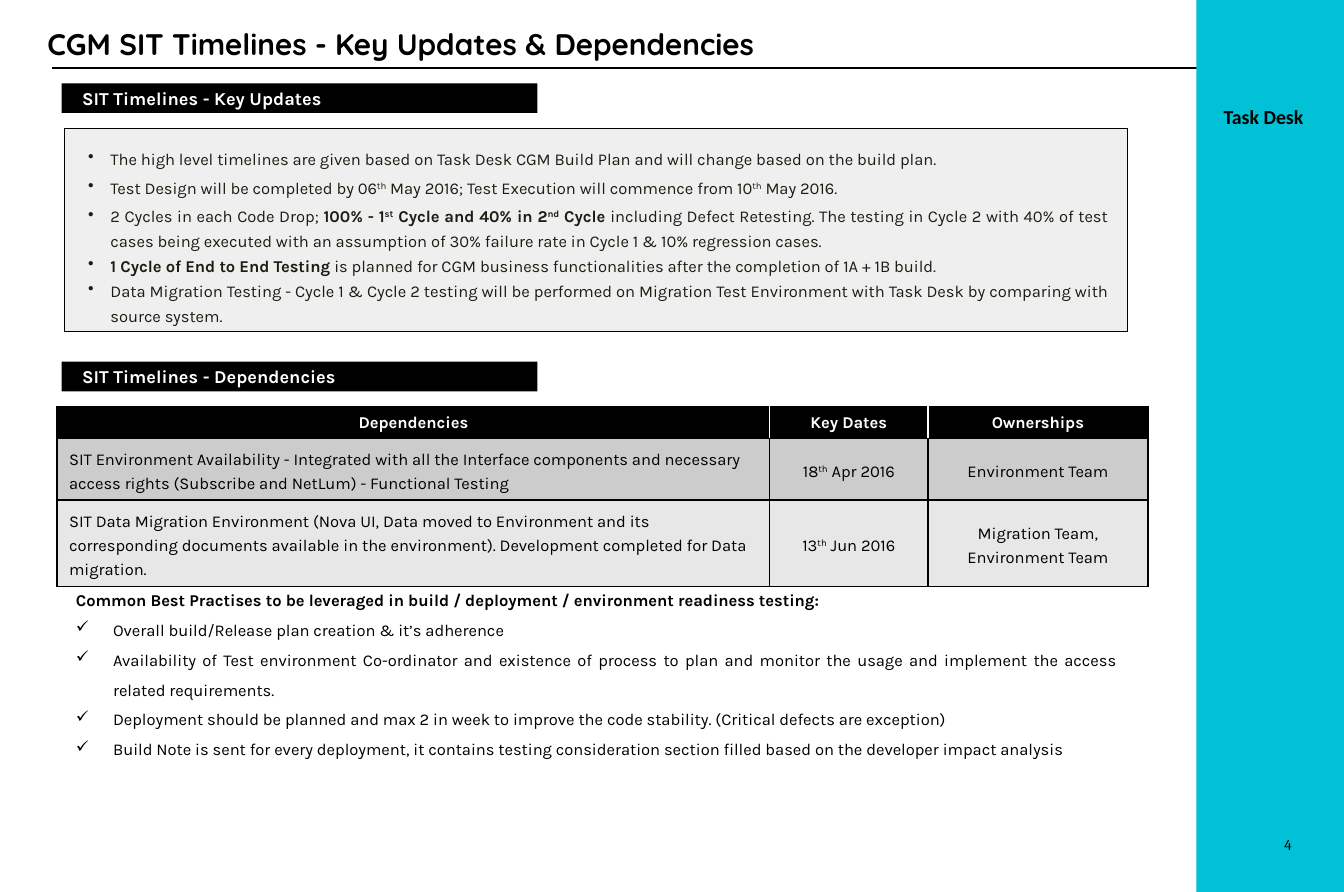
import dataclasses

import lxml.etree
import pptx
import pptx.dml.color
import pptx.enum.shapes
import pptx.enum.text
import pptx.oxml.ns
import pptx.util

Pt = pptx.util.Pt
ALIGN = pptx.enum.text.PP_ALIGN
ANCHOR = pptx.enum.text.MSO_ANCHOR


@dataclasses.dataclass(frozen=True)
class Theme:
    """Colours, fonts and type sizes of the slide."""
    black: str = "000000"
    white: str = "FFFFFF"
    accent: str = "01C1D6"
    panel: str = "EFEFEF"
    ink: str = "1E1C11"
    bands: tuple = ("CCCCCC", "E7E7E7")
    body_font: str = "Karla"
    title_font: str = "Quicksand"
    brand_font: str = "Calibri"
    number_font: str = "Cambria"
    title: float = 18
    brand: float = 12
    heading: float = 11
    body: float = 10
    number: float = 9


THEME = Theme()

# In the wording, * switches bold on and off and ^ switches superscript.
UPDATES = [
    "The high level timelines are given based on Task Desk CGM Build Plan and will "
    "change based on the build plan.",
    "Test Design will be completed by 06^th^ May 2016; Test Execution will commence "
    "from 10^th^ May 2016.",
    "2 Cycles in each Code Drop; *100% - 1^st^ Cycle and 40% in 2^nd^ Cycle *including "
    "Defect Retesting. The testing in Cycle 2 with 40% of test cases being executed with "
    "an assumption of 30% failure rate in Cycle 1 & 10% regression cases.",
    "*1 Cycle of End to End Testing *is planned for CGM business functionalities after "
    "the completion of 1A + 1B build.",
    "Data Migration Testing - Cycle 1 & Cycle 2 testing will be performed on Migration "
    "Test Environment with Task Desk by comparing with source system.",
]
SPACED_UPDATES = 3

DEPENDENCIES = [
    ("*Dependencies*", "*Key Dates*", "*Ownerships*"),
    ("SIT Environment Availability - Integrated with all the Interface components and "
     "necessary access rights (Subscribe and NetLum) - Functional Testing",
     "18^th^ Apr 2016", "Environment Team"),
    ("SIT Data Migration Environment (Nova UI, Data moved to Environment and its "
     "corresponding documents available in the environment). Development completed for "
     "Data migration.", "13^th^ Jun 2016", "Migration Team, Environment Team"),
]
COLUMN_WIDTHS = (431.3, 95.8, 133.2)
ROW_HEIGHTS = (16, 26, 36)

PRACTICES_HEADING = ("*Common Best Practises to be leveraged in build / deployment / "
                     "environment readiness testing:*")
PRACTICES = [
    "Overall build/Release plan creation & it’s adherence",
    "Availability of Test environment Co-ordinator and existence of process to plan and "
    "monitor the usage and implement the access related requirements.",
    "Deployment should be planned and max 2 in week to improve the code stability. "
    "(Critical defects are exception)",
    "Build Note is sent for every deployment, it contains testing consideration section "
    "filled based on the developer impact analysis",
]


def rgb(colour):
    """Turn a hex string into a colour value."""
    return pptx.dml.color.RGBColor.from_string(colour)


def apply_format(target, values):
    """Set each named attribute of the target."""
    for name, value in values.items():
        setattr(target, name, value)


def add_xml(parent, tag, **attributes):
    """Append a DrawingML element and return it."""
    return lxml.etree.SubElement(parent, pptx.oxml.ns.qn(tag), attributes)


def write(paragraph, wording, size=THEME.body, font=THEME.body_font,
          colour=THEME.black, **layout):
    """Fill a paragraph, turning the bold and superscript marks into runs."""
    apply_format(paragraph, layout)
    for bold_index, stretch in enumerate(wording.split("*")):
        for raised_index, piece in enumerate(stretch.split("^")):
            if not piece:
                continue
            run = paragraph.add_run()
            run.text = piece
            apply_format(run.font, {"size": Pt(size), "name": font,
                                    "bold": bold_index % 2 == 1})
            run.font.color.rgb = rgb(colour)
            if raised_index % 2:
                run.font._element.set("baseline", "30000")


def add_bullet(paragraph, mark, indent, hanging):
    """Give a paragraph a bullet with a hanging indent."""
    properties = paragraph._p.get_or_add_pPr()
    properties.set("marL", str(Pt(indent)))
    properties.set("indent", str(-Pt(hanging)))
    add_xml(properties, "a:buChar", char=mark)


def add_box(slide, left, top, width, height, fill, outline=None):
    """Draw a filled rectangle, outlined if a colour is given."""
    box = slide.shapes.add_shape(pptx.enum.shapes.MSO_SHAPE.RECTANGLE,
                                 Pt(left), Pt(top), Pt(width), Pt(height))
    box.shadow.inherit = False
    box.fill.solid()
    box.fill.fore_color.rgb = rgb(fill)
    if outline:
        box.line.color.rgb = rgb(outline)
        box.line.width = Pt(0.5)
    else:
        box.line.fill.background()
    return box


def set_frame(frame, inset=None, anchor=ANCHOR.TOP):
    """Set wrapping, anchor and optional equal insets of a text frame."""
    values = {"word_wrap": True, "vertical_anchor": anchor}
    if inset is not None:
        for side in ("left", "right", "top", "bottom"):
            values["margin_" + side] = Pt(inset)
    apply_format(frame, values)
    return frame


def add_text(slide, left, top, width, height, **frame_values):
    """Add a wrapping text box and return its frame."""
    text = slide.shapes.add_textbox(Pt(left), Pt(top), Pt(width), Pt(height))
    return set_frame(text.text_frame, **frame_values)


def add_rule(slide, left, right, top):
    """Draw the horizontal rule under the title."""
    rule = slide.shapes.add_connector(pptx.enum.shapes.MSO_CONNECTOR.STRAIGHT,
                                      Pt(left), Pt(top), Pt(right), Pt(top))
    rule.line.color.rgb = rgb(THEME.black)
    rule.line.width = Pt(1)
    add_xml(rule._element.spPr, "a:effectLst")


def add_section_heading(slide, wording, top):
    """Draw a black section bar with its heading."""
    add_box(slide, 37.4, top, 288, 18, THEME.black)
    heading = add_text(slide, 49.7, top + 2.2, 257.8, 13.7, inset=0)
    write(heading.paragraphs[0], wording, THEME.heading, colour=THEME.white)


def add_borders(cell, colours):
    """Draw the cell borders; colours run left, right, top, bottom."""
    properties = cell._tc.get_or_add_tcPr()
    for side, colour in zip("LRTB", colours):
        border = add_xml(properties, "a:ln" + side, w=str(Pt(1)))
        add_xml(add_xml(border, "a:solidFill"), "a:srgbClr", val=colour)


def add_dependencies(slide, left, top):
    """Build the dependencies table."""
    table = slide.shapes.add_table(
        len(DEPENDENCIES), len(COLUMN_WIDTHS), Pt(left), Pt(top),
        Pt(sum(COLUMN_WIDTHS)), Pt(sum(ROW_HEIGHTS))).table
    table.horz_banding = False
    for column, width in zip(table.columns, COLUMN_WIDTHS):
        column.width = Pt(width)
    last = len(COLUMN_WIDTHS) - 1
    fills = (THEME.black,) + THEME.bands
    for r, (entries, height, fill) in enumerate(zip(DEPENDENCIES, ROW_HEIGHTS, fills)):
        table.rows[r].height = Pt(height)
        header = r == 0
        divider = THEME.white if header else THEME.black
        for c, wording in enumerate(entries):
            cell = table.cell(r, c)
            cell.vertical_anchor = ANCHOR.MIDDLE
            add_borders(cell, (divider if c else THEME.black,
                               divider if c < last else THEME.black,
                               THEME.black, THEME.black))
            cell.fill.solid()
            cell.fill.fore_color.rgb = rgb(fill)
            write(cell.text_frame.paragraphs[0], wording,
                  colour=THEME.white if header else THEME.black,
                  alignment=ALIGN.CENTER if header or c else ALIGN.LEFT,
                  line_spacing=1.0 if header else 1.25)


def add_updates(slide):
    """Draw the panel of key updates."""
    add_box(slide, 38.9, 77.8, 643.7, 123.1, THEME.panel, THEME.black)
    updates = add_text(slide, 41.8, 83.5, 635.8, 118)
    for index, wording in enumerate(UPDATES):
        paragraph = updates.add_paragraph() if index else updates.paragraphs[0]
        write(paragraph, wording, colour=THEME.ink, alignment=ALIGN.JUSTIFY,
              line_spacing=1.25, space_before=Pt(2.4 if index < SPACED_UPDATES else 0))
        add_bullet(paragraph, "•", 18, 13.5)


def add_practices(slide):
    """Write the best practices with their check marks."""
    practices = add_text(slide, 38.9, 347.8, 643.7, 116.6)
    layout = {"alignment": ALIGN.JUSTIFY, "line_spacing": 1.5}
    write(practices.paragraphs[0], PRACTICES_HEADING, **layout)
    for wording in PRACTICES:
        paragraph = practices.add_paragraph()
        write(paragraph, wording, **layout)
        add_bullet(paragraph, "✓", 22.5, 22.5)


def main():
    """Build the slide and save it."""
    deck = pptx.Presentation()
    apply_format(deck, {"slide_width": Pt(813.6), "slide_height": Pt(540)})
    slide = deck.slides.add_slide(deck.slide_layouts[6])

    add_rule(slide, 31.7, 782, 41)
    add_box(slide, 724.3, 0, 89.3, 540, THEME.accent)
    brand = add_text(slide, 733.7, 59.8, 72, 25.9)
    write(brand.paragraphs[0], "*Task Desk*", THEME.brand, THEME.brand_font)
    number = add_box(slide, 738.7, 504, 43.2, 14.4, THEME.accent)
    set_frame(number.text_frame, inset=0, anchor=ANCHOR.MIDDLE)
    write(number.text_frame.paragraphs[0], "4", THEME.number, THEME.number_font,
          alignment=ALIGN.RIGHT)
    title = add_text(slide, 21.6, 11.5, 700, 30.2, anchor=ANCHOR.MIDDLE)
    write(title.paragraphs[0], "*CGM SIT Timelines - Key Updates & Dependencies*",
          THEME.title, THEME.title_font)

    add_dependencies(slide, 34.6, 246.2)
    add_practices(slide)
    add_updates(slide)
    add_section_heading(slide, "*SIT Timelines - Key Updates*", 50.4)
    add_section_heading(slide, "*SIT Timelines - Dependencies*", 218.9)
    deck.save("out.pptx")


if __name__ == "__main__":
    main()
